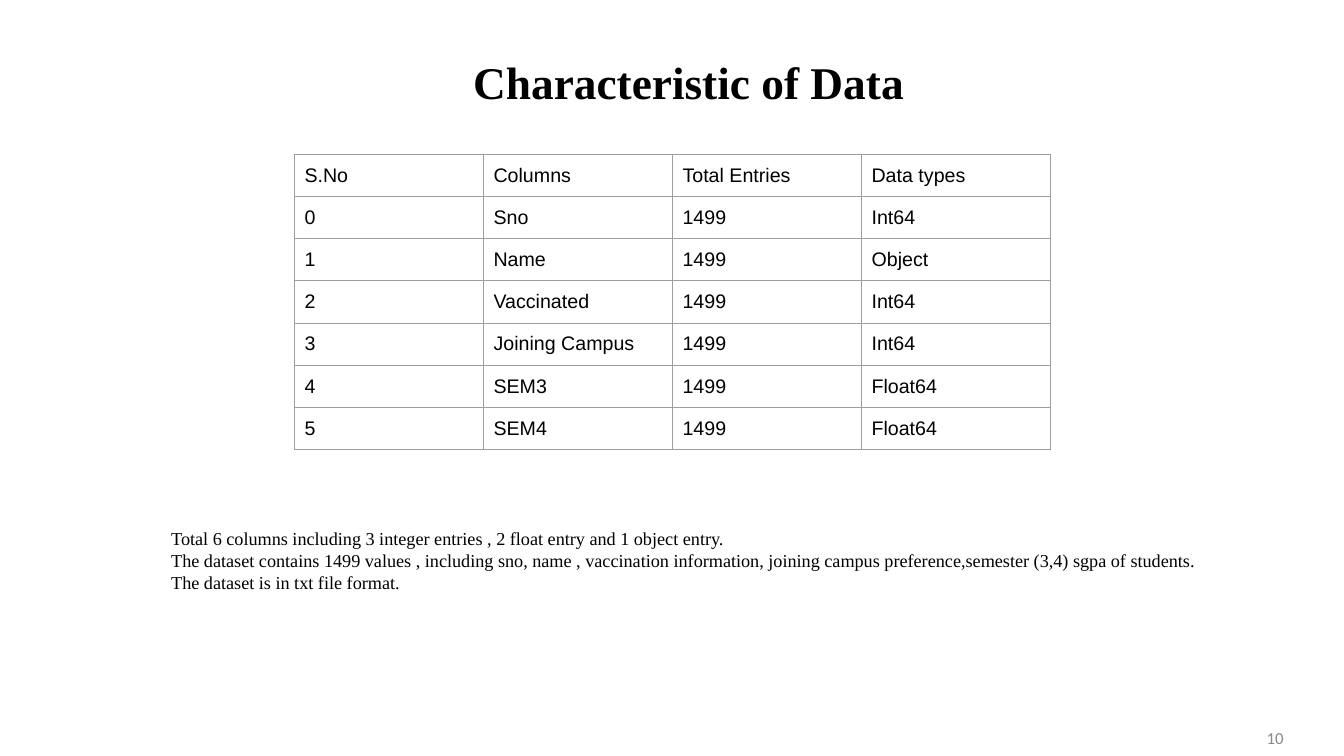
import pptx
import pptx.dml.color
import pptx.enum.text
import pptx.oxml
import pptx.oxml.ns
import pptx.util
from pptx.util import Inches

BLACK = pptx.dml.color.RGBColor(0x00, 0x00, 0x00)
GRAY = pptx.dml.color.RGBColor(0x88, 0x88, 0x88)
RULE = pptx.dml.color.RGBColor(0x9E, 0x9E, 0x9E)
ALIGN = pptx.enum.text.PP_ALIGN
ANCHOR = pptx.enum.text.MSO_ANCHOR
SERIF = "Times New Roman"

HEADS = ["S.No", "Columns", "Total Entries", "Data types"]
FIELDS = [
    ("Sno", "Int64"),
    ("Name", "Object"),
    ("Vaccinated", "Int64"),
    ("Joining Campus", "Int64"),
    ("SEM3", "Float64"),
    ("SEM4", "Float64"),
]
NOTES = [
    "Total 6 columns including 3 integer entries , 2 float entry and 1 object entry.",
    "The dataset contains 1499 values , including sno, name , vaccination information, "
    "joining campus preference,semester (3,4) sgpa of students.",
    "The dataset is in txt file format.",
]


def style(frame, face, size, color, align=ALIGN.LEFT, bold=False):
    """Format every paragraph and run of a text frame."""
    for para in frame.paragraphs:
        para.alignment = align
        for run in para.runs:
            run.font.name = face
            run.font.size = pptx.util.Pt(size)
            run.font.bold = bold
            run.font.color.rgb = color


def add_text(slide, box, text, anchor, inset):
    """Add a wrapped text box and return its frame."""
    frame = slide.shapes.add_textbox(*map(Inches, box)).text_frame
    frame.word_wrap = True
    frame.vertical_anchor = anchor
    frame.margin_top = frame.margin_bottom = Inches(inset)
    frame.text = text
    return frame


def add_title(slide, box):
    """Place the centred heading."""
    frame = add_text(slide, box, "Characteristic of Data", ANCHOR.MIDDLE, 0.05)
    style(frame, SERIF, 32.4, BLACK, ALIGN.CENTER, True)


def add_edges(cell):
    """Draw a thin rule on all four sides of a cell."""
    props = cell._tc.get_or_add_tcPr()
    for place, side in enumerate("LRTB"):
        edge = pptx.oxml.parse_xml(
            f'<a:ln{side} {pptx.oxml.ns.nsdecls("a")} w="9525">'
            f'<a:solidFill><a:srgbClr val="{RULE}"/></a:solidFill></a:ln{side}>'
        )
        props.insert(place, edge)


def add_grid(slide, box):
    """Place the table of data fields with equal rows and columns."""
    rows = [HEADS]
    rows += [[str(num), name, "1499", kind] for num, (name, kind) in enumerate(FIELDS)]
    shape = slide.shapes.add_table(len(rows), len(HEADS), *map(Inches, box))
    table = shape.table
    table.first_row = table.horz_banding = False
    for line, row in zip(rows, table.rows):
        row.height = Inches(box[3] / len(rows))
        for text, cell in zip(line, row.cells):
            cell.text = text
            cell.vertical_anchor = ANCHOR.MIDDLE
            cell.margin_left = cell.margin_right = Inches(0.1)
            cell.margin_top = cell.margin_bottom = Inches(0.09)
            cell.fill.background()
            style(cell.text_frame, "Arial", 14, BLACK)
            add_edges(cell)


def add_notes(slide, box):
    """Place the justified remarks below the table."""
    frame = add_text(slide, box, "\n".join(NOTES), ANCHOR.TOP, 0.1)
    style(frame, SERIF, 13, BLACK, ALIGN.JUSTIFY)


def add_number(slide, box):
    """Place the page number in the corner."""
    frame = add_text(slide, box, "10", ANCHOR.MIDDLE, 0.05)
    style(frame, "Calibri", 12, GRAY, ALIGN.RIGHT)


def main():
    """Build the slide and save it."""
    deck = pptx.Presentation()
    deck.slide_width, deck.slide_height = Inches(13.33), Inches(7.5)
    slide = deck.slides.add_slide(deck.slide_layouts[6])
    add_number(slide, (9.72, 7.12, 3.11, 0.4))
    add_title(slide, (0.83, 0.43, 12, 0.76))
    add_grid(slide, (2.92, 1.53, 7.5, 2.93))
    add_notes(slide, (1.6, 5.13, 10.46, 0.86))
    deck.save("out.pptx")


if __name__ == "__main__":
    main()
